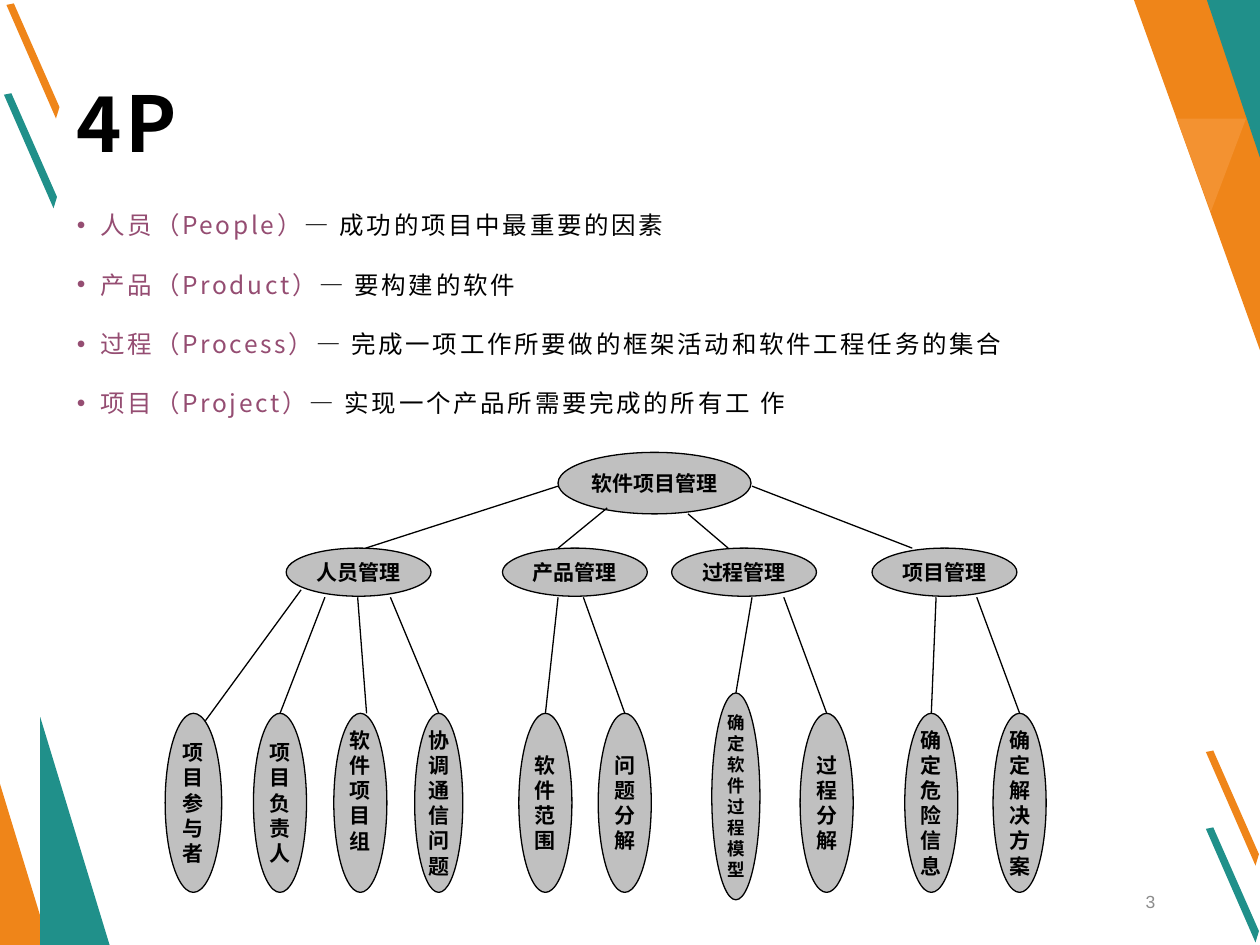
from dataclasses import dataclass
from typing import Optional

from lxml import etree
from pptx import Presentation
from pptx.dml.color import RGBColor
from pptx.enum.shapes import MSO_CONNECTOR, MSO_SHAPE
from pptx.enum.text import MSO_ANCHOR as Anchor, PP_ALIGN as Align
from pptx.oxml.ns import qn
from pptx.util import Cm, Pt

COLORS = {
    "orange": "EF8519", "light": "F39231", "teal": "20908A", "term": "954D72",
    "text": "000000", "node": "C0C0C0", "number": "8C8C8C",
}
FONT = "Noto Sans CJK SC"
Point = tuple[float, float]


@dataclass
class Node:
    text: str
    x: float
    y: float = 14.38
    w: float = 1.07
    h: float = 3.61
    size: float = 12
    bottom: float = 0.13  # bottom inset


@dataclass
class Leaf:
    node: Node
    start: Point
    end: Optional[Point] = None  # None joins the line to the top of the node


def rgb(name: str) -> RGBColor:
    return RGBColor.from_string(COLORS[name])


def style_run(r, size: float, color: str, bold: bool = False,
              font: str = FONT, spacing: float = 0) -> None:
    r.font.size, r.font.bold, r.font.name = Pt(size), bold, font
    r.font.color.rgb = rgb(color)
    rPr = r.font._element
    if spacing:
        rPr.set("spc", str(int(spacing * 100)))
    rPr.find(qn("a:latin")).addnext(rPr.makeelement(qn("a:ea"), {"typeface": font}))


def paint(sp, color: str) -> None:
    sp.shadow.inherit = False
    sp.fill.solid()
    sp.fill.fore_color.rgb = rgb(color)
    sp.line.fill.background()


def add_polygon(slide, points: list[Point], color: str) -> None:
    first, *rest = [(Cm(x), Cm(y)) for x, y in points]
    fb = slide.shapes.build_freeform(*first)
    fb.add_line_segments(rest, close=True)
    paint(fb.convert_to_shape(), color)


def add_triangle(slide, x: float, y: float, w: float, h: float, color: str) -> None:
    sp = slide.shapes.add_shape(MSO_SHAPE.ISOSCELES_TRIANGLE, Cm(x), Cm(y), Cm(w), Cm(h))
    sp.adjustments[0] = 0
    paint(sp, color)


def add_box(slide, x: float, y: float, w: float, h: float, anchor=Anchor.TOP):
    tf = slide.shapes.add_textbox(Cm(x), Cm(y), Cm(w), Cm(h)).text_frame
    tf.word_wrap, tf.vertical_anchor = True, anchor
    return tf


def add_node(slide, node: Node):
    sp = slide.shapes.add_shape(MSO_SHAPE.OVAL, Cm(node.x), Cm(node.y), Cm(node.w), Cm(node.h))
    paint(sp, "node")
    sp.line.color.rgb = rgb("text")
    sp.line.width = Pt(0.75)
    tf = sp.text_frame
    tf.word_wrap, tf.vertical_anchor = False, Anchor.MIDDLE
    tf.margin_bottom = Cm(node.bottom)
    tf.text = node.text
    for p in tf.paragraphs:
        p.alignment = Align.CENTER
        style_run(p.runs[0], node.size, "text", bold=True)
    return sp


def add_line(slide, start: Point, end: Point):
    line = slide.shapes.add_connector(
        MSO_CONNECTOR.STRAIGHT, *[Cm(v) for v in (*start, *end)])
    line.line.color.rgb = rgb("text")
    line.line.width = Pt(0.75)
    etree.SubElement(line._element.spPr, qn("a:effectLst"))
    return line


def add_bullet(p, term: str, meaning: str) -> None:
    pPr = p._p.get_or_add_pPr()
    pPr.set("marL", str(Cm(0.48)))
    pPr.set("indent", str(-Cm(0.48)))
    etree.SubElement(pPr, qn("a:buFont"), typeface="Arial")
    etree.SubElement(pPr, qn("a:buChar"), char="•")
    p.line_spacing = 1.3
    p.space_after = Pt(6)
    for text, color in ((term, "term"), (meaning, "text")):
        r = p.add_run()
        r.text = text
        style_run(r, 14, color, spacing=1.5)


SLASH = [(0, 0), (0.15, -0.03), (1.07, 2.06), (1.0, 2.29)]
SLASHES = [(24.31, 15.16, "orange"), (0.08, 1.91, "teal"),
           (0.13, 0.1, "orange"), (24.31, 16.71, "teal")]
CORNER = [
    ([(22.86, 0), (25.4, 0), (25.4, 7.06)], "orange"),
    ([(24.33, 0), (25.4, 0), (25.4, 3.18)], "teal"),
    ([(25.12, 2.39), (24.41, 4.27), (23.72, 2.39)], "light"),
]
BULLETS = [
    ("人员（People）", "— 成功的项目中最重要的因素"),
    ("产品（Product）", "— 要构建的软件"),
    ("过程（Process）", "— 完成一项工作所要做的框架活动和软件工程任务的集合"),
    ("项目（Project）", "— 实现一个产品所需要完成的所有工 作"),
]
ROOT = Node("软件项目管理", 11.25, 9.12, 3.89, 1.24)
MANAGERS = [("人员管理", 5.77), ("产品管理", 10.13), ("过程管理", 13.54), ("项目管理", 17.58)]
MANAGER_TOP, MANAGER_BOTTOM = 11.05, 12.04
ROOT_LINES = [((11.25, 9.8), 7.37), ((12.24, 10.24), 11.25),
              ((13.87, 10.36), 14.68), ((15.16, 9.8), 18.39)]
LEAVES = [
    Leaf(Node("项目参与者", 3.33, w=1.14), (6.07, 11.89), (4.14, 14.53)),
    Leaf(Node("项目负责人", 5.11), (6.55, MANAGER_BOTTOM)),
    Leaf(Node("软件项目组", 6.73, bottom=0.63), (7.21, MANAGER_BOTTOM), (7.39, 14.38)),
    Leaf(Node("协调通信问题", 8.36, w=0.97), (7.87, MANAGER_BOTTOM)),
    Leaf(Node("软件范围", 10.46), (11.25, MANAGER_BOTTOM)),
    Leaf(Node("问题分解", 12.06), (11.76, MANAGER_BOTTOM)),
    Leaf(Node("确定软件过程模型", 14.35, 13.97, 0.97, 4.17, 10), (15.16, MANAGER_BOTTOM)),
    Leaf(Node("过程分解", 16.13), (15.8, MANAGER_BOTTOM)),
    Leaf(Node("确定危险信息", 18.24), (18.87, MANAGER_BOTTOM)),
    Leaf(Node("确定解决方案", 20.02), (19.69, MANAGER_BOTTOM)),
]


def main() -> None:
    prs = Presentation()
    prs.slide_width, prs.slide_height = Cm(25.4), Cm(19.05)
    s = prs.slides.add_slide(prs.slide_layouts[6])

    # Corner decoration
    for x, y, color in SLASHES:
        add_polygon(s, [(x + dx, y + dy) for dx, dy in SLASH], color)
    for points, color in CORNER:
        add_polygon(s, points, color)
    add_triangle(s, 0, 15.8, 0.99, 3.25, "orange")
    add_triangle(s, 0.81, 14.45, 1.4, 4.6, "teal")

    # Slide number and title
    tf = add_box(s, 17.93, 17.63, 5.61, 0.89, Anchor.BOTTOM)
    tf.text = "3"
    tf.paragraphs[0].alignment = Align.RIGHT
    style_run(tf.paragraphs[0].runs[0], 10, "number", font="Arial")
    tf = add_box(s, 1.3, 1.12, 22.81, 2.39, Anchor.BOTTOM)
    tf.text = "4P"
    style_run(tf.paragraphs[0].runs[0], 44, "text", bold=True, spacing=2)

    # The four Ps
    tf = add_box(s, 1.3, 3.94, 22.81, 13.59)
    for i, (term, meaning) in enumerate(BULLETS):
        p = tf.add_paragraph() if i else tf.paragraphs[0]
        add_bullet(p, term, meaning)
        if i:
            p.space_before = Pt(6)

    # Management tree
    add_node(s, ROOT)
    for text, x in MANAGERS:
        add_node(s, Node(text, x, MANAGER_TOP, 2.92, 0.97))
    for start, x in ROOT_LINES:
        add_line(s, start, (x, MANAGER_TOP))
    for leaf in LEAVES:
        node = leaf.node
        node.text = "\n".join(node.text)
        sp = add_node(s, node)
        line = add_line(s, leaf.start, leaf.end or (node.x + node.w / 2, node.y))
        if leaf.end is None:
            line.end_connect(sp, 0)

    prs.save("out.pptx")


if __name__ == "__main__":
    main()
